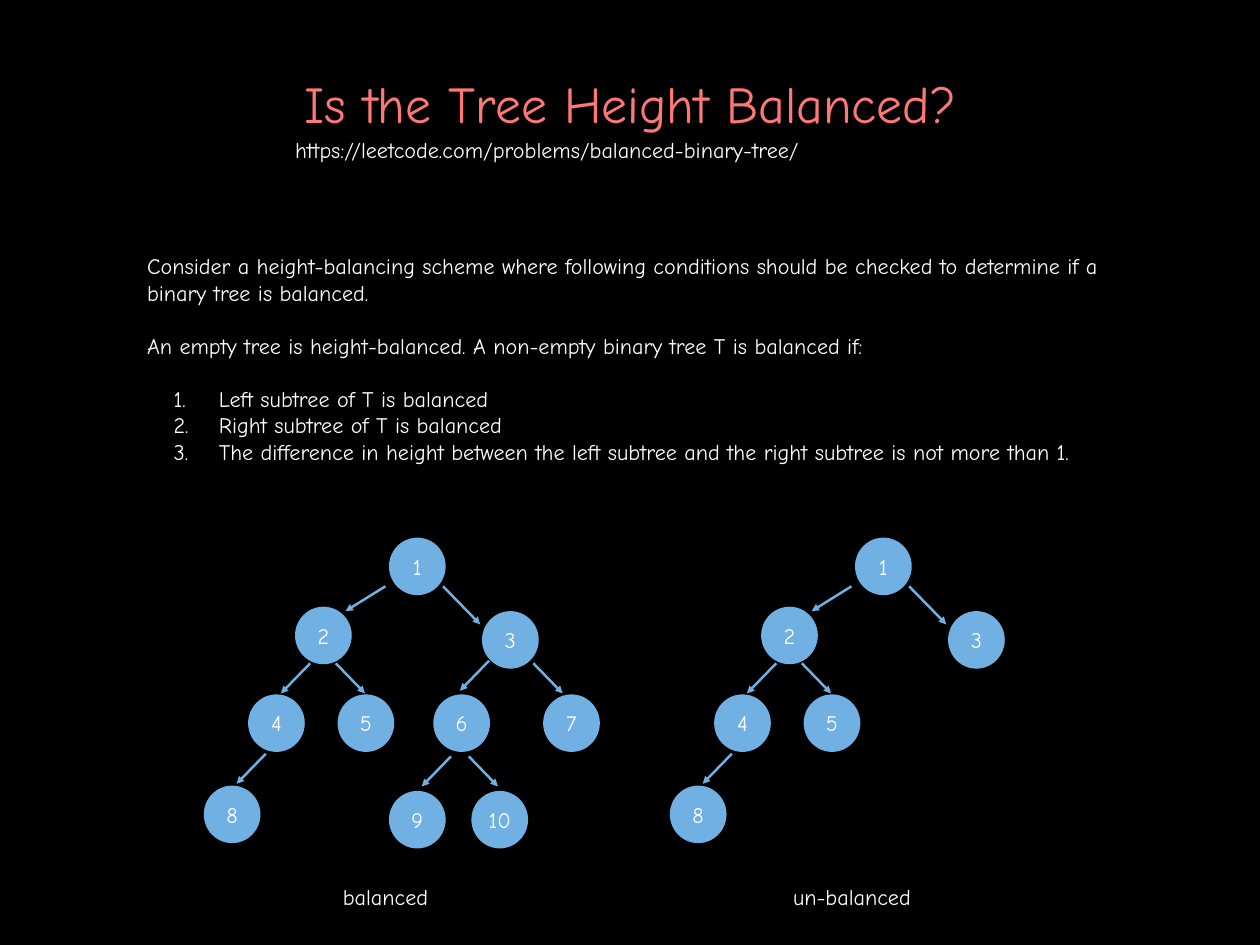
from dataclasses import dataclass

from lxml import etree
from pptx import Presentation
from pptx import util as u
from pptx.dml import color
from pptx.enum import shapes, text
from pptx.oxml import ns

FACE = "Comic Neue"
WHITE, BLACK, CORAL, BLUE = "FFFFFF", "000000", "FF7777", "71B0E2"
LEFT, MID = text.PP_ALIGN.LEFT, text.PP_ALIGN.CENTER
WIDE, HIGH = 0.64, 0.65
INSET = 0.06
LINE = 0.3
SHIFT = 5.26
FRAME = {"word_wrap": True, "vertical_anchor": text.MSO_ANCHOR.MIDDLE}
SIDES = ("left", "right", "top", "bottom")


@dataclass
class Arrow:
    x: float
    y: float
    run: float = 0.33
    drop: float = 0.34


@dataclass
class Node:
    num: int
    x: float
    y: float
    arrow: Arrow | None = None


@dataclass
class Para:
    words: str
    gap: float = 0
    listed: bool = False


@dataclass
class Block:
    x: float
    y: float
    wide: float
    high: float
    paras: list[Para]
    size: int = 18
    ink: str = WHITE
    align: text.PP_ALIGN = LEFT


NODES = [
    Node(1, 4.39, 6.07),
    Node(2, 3.33, 6.85, Arrow(4.35, 6.62, -0.45, 0.28)),
    Node(3, 5.44, 6.9, Arrow(5, 6.62, 0.42, 0.43)),
    Node(4, 2.8, 7.84, Arrow(3.5, 7.49, -0.33)),
    Node(5, 3.81, 7.84, Arrow(3.79, 7.49)),
    Node(6, 4.89, 7.84, Arrow(5.52, 7.46, -0.33)),
    Node(7, 6.13, 7.84, Arrow(6.02, 7.49)),
    Node(8, 2.3, 8.87, Arrow(3, 8.51, -0.33)),
    Node(9, 4.39, 8.93, Arrow(5.09, 8.54, -0.33)),
    Node(10, 5.32, 8.93, Arrow(5.29, 8.54)),
]
LOST = {6, 7, 9, 10}

BLOCKS = [
    Block(0.99, 0.74, 12.24, 0.85, [Para("Is the Tree Height Balanced?")], 42, CORAL, MID),
    Block(3.27, 1.44, 7.68, 0.5, [Para("https://leetcode.com/problems/balanced-binary-tree/")]),
    Block(1.6, 2.07, 11.01, 3.96, [
        Para("Consider a height-balancing scheme where following conditions should be "
             "checked to determine if a binary tree is balanced."),
        Para("An empty tree is height-balanced. A non-empty binary tree T is balanced if:", LINE),
        Para("Left subtree of T is balanced", LINE, True),
        Para("Right subtree of T is balanced", 0, True),
        Para("The difference in height between the left subtree and the right subtree "
             "is not more than 1.", 0, True),
    ]),
    Block(3.81, 9.87, 2.78, 0.5, [Para("balanced")]),
    Block(8.89, 9.87, 2.78, 0.5, [Para("un-balanced")]),
]


def put(thing, form: dict) -> None:
    for name, value in form.items():
        setattr(thing, name, value)


def tint(fmt, code: str) -> None:
    fmt.solid()
    fmt.fore_color.rgb = color.RGBColor.from_string(code)


def number(para) -> None:
    props = para._p.get_or_add_pPr()
    props.set("marL", str(u.Inches(0.81)))
    props.set("indent", str(u.Inches(-0.51)))
    etree.SubElement(props, ns.qn("a:buFont"), typeface=FACE)
    etree.SubElement(props, ns.qn("a:buAutoNum"), type="arabicPeriod")


def write(frame, paras: list[Para], size: int, ink: str, align, inset: float) -> None:
    put(frame, FRAME | {f"margin_{side}": u.Inches(inset) for side in SIDES})
    for i, item in enumerate(paras):
        para = frame.add_paragraph() if i else frame.paragraphs[0]
        if item.listed:
            number(para)
        put(para, {"alignment": align, "space_before": u.Inches(item.gap)})
        run = para.add_run()
        run.text = item.words
        put(run.font, {"name": FACE, "size": u.Pt(size)})
        tint(run.font.fill, ink)


def draw_block(slide, block: Block) -> None:
    box = slide.shapes.add_textbox(*map(u.Inches, (block.x, block.y, block.wide, block.high)))
    write(box.text_frame, block.paras, block.size, block.ink, block.align, INSET)


def draw_arrow(slide, arrow: Arrow, shift: float) -> None:
    x = arrow.x + shift
    ends = (x, arrow.y, x + arrow.run, arrow.y + arrow.drop)
    link = slide.shapes.add_connector(shapes.MSO_CONNECTOR.STRAIGHT, *map(u.Inches, ends))
    link.line.width = u.Pt(2)
    tint(link.line.fill, BLUE)
    etree.SubElement(link.line._get_or_add_ln(), ns.qn("a:tailEnd"), type="triangle")
    etree.SubElement(link._element.spPr, ns.qn("a:effectLst"))


def draw_node(slide, node: Node, shift: float) -> None:
    spot = map(u.Inches, (node.x + shift, node.y, WIDE, HIGH))
    disc = slide.shapes.add_shape(shapes.MSO_SHAPE.OVAL, *spot)
    disc.shadow.inherit = False
    tint(disc.fill, BLUE)
    disc.line.fill.background()
    write(disc.text_frame, [Para(str(node.num))], 18, WHITE, MID, 0)
    if node.arrow:
        draw_arrow(slide, node.arrow, shift)


def main() -> None:
    deck = Presentation()
    put(deck, {"slide_width": u.Inches(14.22), "slide_height": u.Inches(10.67)})
    slide = deck.slides.add_slide(deck.slide_layouts[6])
    tint(slide.background.fill, BLACK)
    for block in BLOCKS:
        draw_block(slide, block)
    for node in NODES:
        draw_node(slide, node, 0)
        if node.num not in LOST:
            draw_node(slide, node, SHIFT)
    deck.save("out.pptx")


if __name__ == "__main__":
    main()
